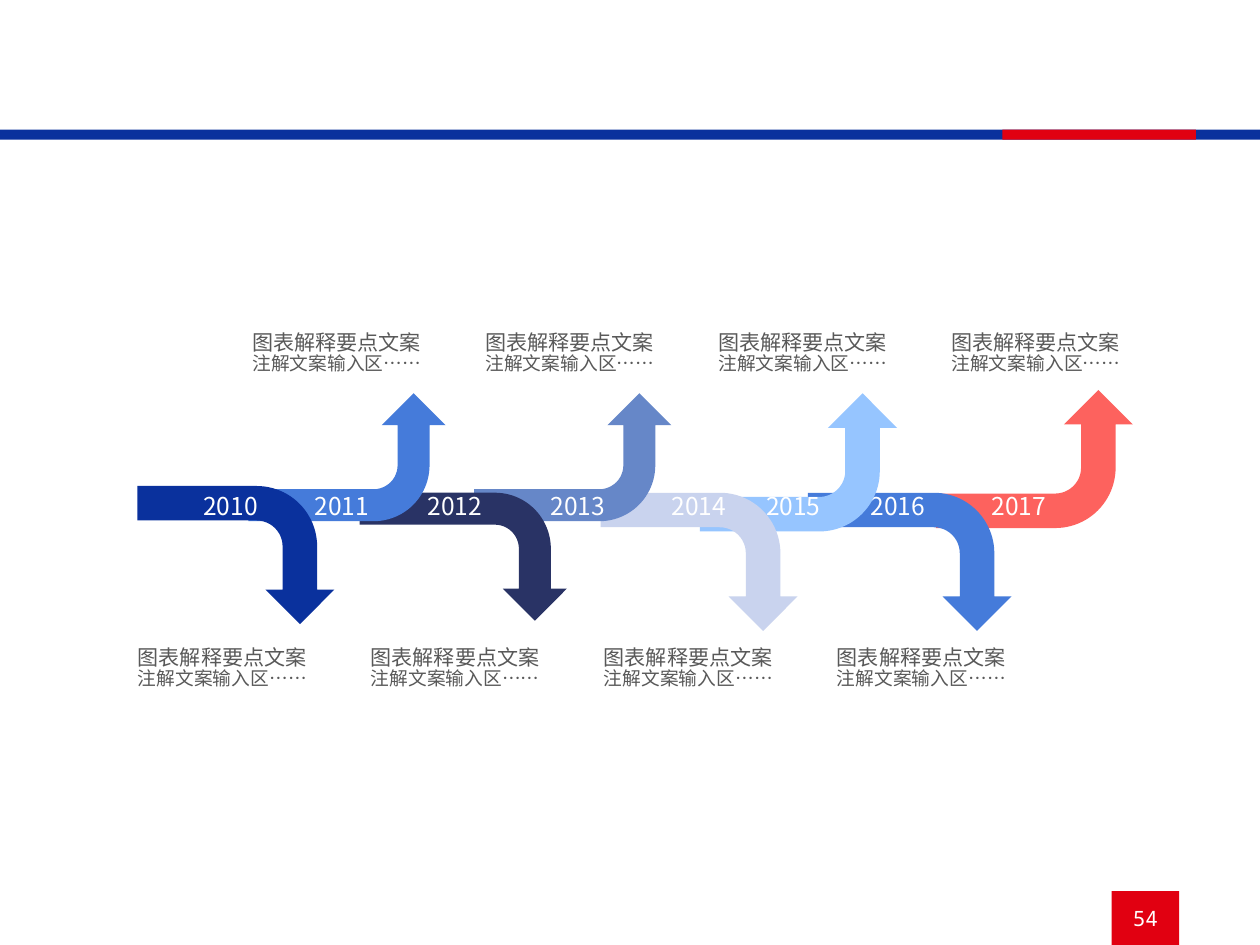
from pptx import Presentation
from pptx.dml.color import RGBColor
from pptx.enum.shapes import MSO_SHAPE
from pptx.enum.text import MSO_ANCHOR, PP_ALIGN
from pptx.oxml.ns import qn
from pptx.util import Inches, Pt
from lxml import etree

RECT, BENT_ARROW = MSO_SHAPE.RECTANGLE, MSO_SHAPE.BENT_ARROW
TOP, MIDDLE = MSO_ANCHOR.TOP, MSO_ANCHOR.MIDDLE
LEFT, CENTER = PP_ALIGN.LEFT, PP_ALIGN.CENTER

SANS, MONO = "Noto Sans CJK SC", "Noto Sans Mono"
BLUE, RED, GREY, WHITE = "0A319D", "E10011", "595959", "FFFFFF"
YEAR_TOP, YEAR_HEIGHT = 2.89, 0.28
CAPTION = [("图表解释要点文案", 9), ("注解文案输入区……", 8)]
CAPTION_STEP = 4.15 / 3
CAPTION_ROWS = [(1.4, 1.93), (0.72, 3.8)]

# year, colour, arrow box, year label left and width
TIMELINE = [
    ("2010", BLUE, (0.99, 2.71, 0.82, 1.17), 1.11, 0.64),
    ("2011", "457BDA", (1.68, 2.13, 0.76, 1.17), 1.77, 0.62),
    ("2012", "293365", (2.37, 2.69, 0.76, 1.23), 2.44, 0.55),
    ("2013", "6687C8", (3.02, 2.13, 0.76, 1.17), 3.17, 0.55),
    ("2014", "C9D3EE", (3.74, 2.75, 0.82, 1.17), 3.89, 0.55),
    ("2015", "96C5FF", (4.33, 2.16, 0.82, 1.17), 4.45, 0.64),
    ("2016", "457BDA", (4.99, 2.73, 0.82, 1.21), 5.07, 0.57),
    ("2017", "FD625E", (5.73, 2.14, 0.82, 1.17), 5.79, 0.55),
]


def rgb(value):
    return RGBColor.from_string(value)


def add_block(s, kind, box, color):
    sp = s.shapes.add_shape(kind, *map(Inches, box))
    sp.shadow.inherit = False
    sp.fill.solid()
    sp.fill.fore_color.rgb = rgb(color)
    sp.line.fill.background()
    return sp


def add_text(s, box, lines, color=WHITE, font=SANS, align=LEFT, anchor=TOP,
             spacing=0.85):
    tf = s.shapes.add_textbox(*map(Inches, box)).text_frame
    tf.word_wrap = True
    tf.vertical_anchor = anchor
    for i, (text, size) in enumerate(lines):
        p = tf.add_paragraph() if i else tf.paragraphs[0]
        p.alignment = align
        p.line_spacing = spacing
        r = p.add_run()
        r.text = text
        r.font.size = Pt(size)
        r.font.name = font
        r.font.color.rgb = rgb(color)
        etree.SubElement(r.font._element, qn("a:ea")).set("typeface", font)


def add_year(s, year, color, box, left, width, upward):
    sp = add_block(s, BENT_ARROW, box, color)
    sp.rotation = 270 if upward else 90
    if upward:
        sp._element.spPr.xfrm.set("flipV", "1")
    add_text(s, (left, YEAR_TOP, width, YEAR_HEIGHT), [(year, 10.5)])


def add_captions(s):
    for left, top in CAPTION_ROWS:
        for i in range(4):
            box = (left + i * CAPTION_STEP, top, 1.43, 0.39)
            add_text(s, box, CAPTION, color=GREY)


def add_frame(s):
    add_block(s, RECT, (0, 0.77, 7.48, 0.06), BLUE)
    add_block(s, RECT, (5.95, 0.77, 1.15, 0.06), RED)
    page_box = (6.6, 5.29, 0.4, 0.32)
    add_block(s, RECT, page_box, RED)
    add_text(s, page_box, [("54", 9)], font=MONO, align=CENTER, anchor=MIDDLE,
             spacing=1.0)


def main():
    prs = Presentation()
    prs.slide_width, prs.slide_height = Inches(7.48), Inches(5.61)
    s = prs.slides.add_slide(prs.slide_layouts[6])
    add_frame(s)
    for i, entry in reversed(list(enumerate(TIMELINE))):
        add_year(s, *entry, upward=i % 2 == 1)
    add_captions(s)
    prs.save("out.pptx")


if __name__ == "__main__":
    main()
